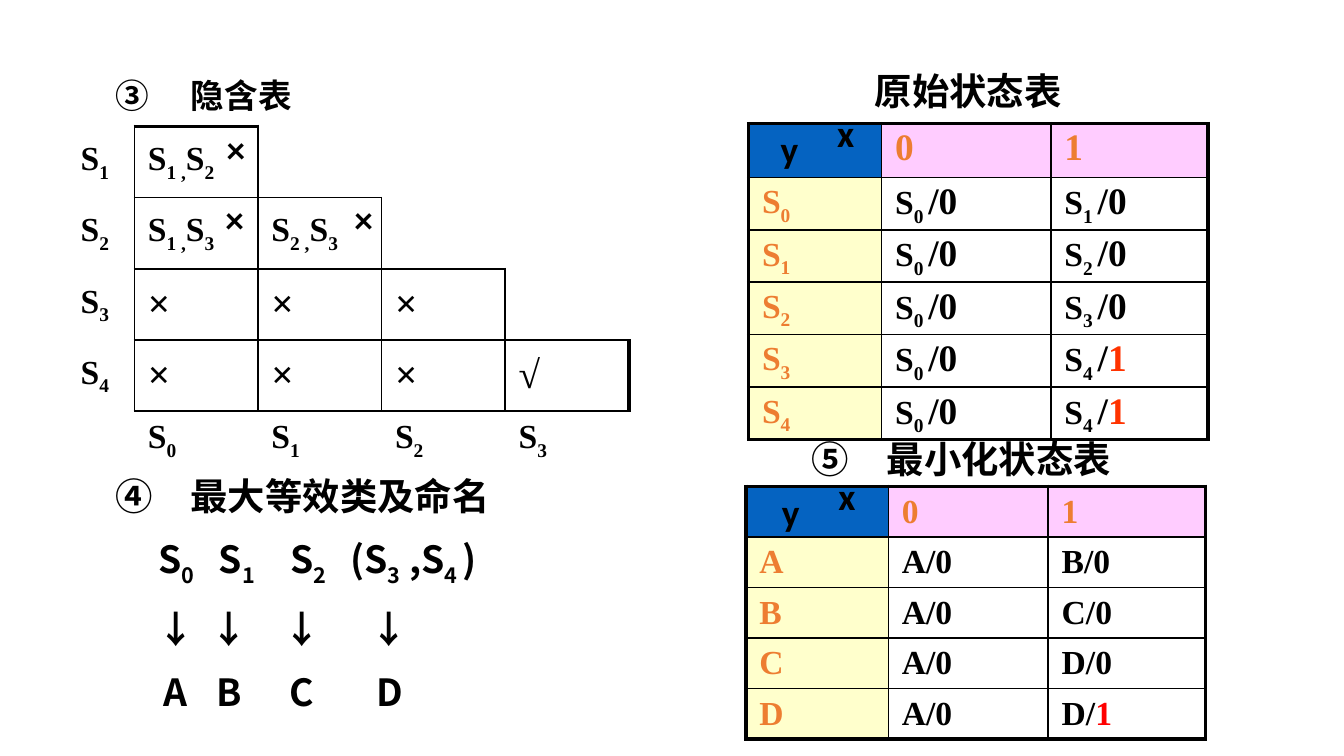
from lxml import etree
from pptx import Presentation
from pptx.dml.color import RGBColor
from pptx.enum.text import MSO_ANCHOR, MSO_AUTO_SIZE, PP_ALIGN
from pptx.oxml.ns import qn
from pptx.util import Inches, Pt

MIDDLE, NO_FIT = MSO_ANCHOR.MIDDLE, MSO_AUTO_SIZE.NONE
LEFT, CENTER = PP_ALIGN.LEFT, PP_ALIGN.CENTER

THEME = {
    "black": "000000", "orange": "ED7D31", "red": "FF0000", "vermilion": "FF3300",
    "blue": "0563C1", "pink": "FFCCFF", "cream": "FFFFCC", "white": "FFFFFF",
    "cjk": "Noto Sans CJK JP", "serif": "Times New Roman", "sans": "Calibri",
    "small": 18, "large": 20, "mark": 21, "thin": 1, "thick": 2.25,
}


def add_runs(p, text, font, size, color="black"):
    """Add bold runs; parts between tildes become subscripts."""
    for i, part in enumerate(text.split("~")):
        if not part:
            continue
        r = p.add_run()
        r.text = part
        r.font.name, r.font.size, r.font.bold = THEME[font], Pt(THEME[size]), True
        r.font.color.rgb = RGBColor.from_string(THEME[color])
        rPr = r.font._element
        etree.SubElement(rPr, qn("a:ea"), typeface=THEME[font])
        if i % 2:
            rPr.set("baseline", "-25000")


def number_paragraph(p, start):
    """Give a paragraph a circled number with a hanging indent."""
    pPr = p._p.get_or_add_pPr()
    pPr.set("marL", str(Inches(0.56)))
    pPr.set("indent", str(-Inches(0.56)))
    etree.SubElement(pPr, qn("a:buAutoNum"), type="circleNumDbPlain", startAt=str(start))


# Widescreen slide, 16 to 9
prs = Presentation()
prs.slide_width = Inches(10)
prs.slide_height = Inches(10) * 9 // 16
s = prs.slides.add_slide(prs.slide_layouts[5])

# Title
title = s.shapes.title
title.left, title.top, title.width, title.height = map(Inches, (0.76, 0.54, 3.25, 0.38))
tf = title.text_frame
tf.auto_size, tf.vertical_anchor = NO_FIT, MIDDLE
p = tf.paragraphs[0]
number_paragraph(p, 3)
p.alignment, p.line_spacing = LEFT, 0.9
add_runs(p, "隐含表", "cjk", "small")

# Table contents: the implication staircase and two state tables
implication = [
    ["S~1~", "S~1 ,~S~2~", "", "", ""],
    ["S~2~", "S~1 ,~S~3~", "S~2 ,~S~3~", "", ""],
    ["S~3~", "×", "×", "×", ""],
    ["S~4~", "×", "×", "×", "√"],
    [""] + [f"S~{i}~" for i in range(4)],
]
original = [["", "0", "1"]] + [
    [f"S~{i}~", "S~0 ~/0", f"S~{min(i + 1, 4)} ~/{int(i > 2)}"] for i in range(5)
]
minimal = [["", "0", "1"]] + [
    [name, "A/0", f"{after}/{int(name == 'D')}"] for name, after in zip("ABCD", "BCDD")
]
tables = [
    dict(rows=minimal, at=(5.55, 3.62), cols=(1.06, 1.19, 1.17), heights=[1.88 / 5] * 5,
         output="small", spacing=1.0, one="red", stairs=False),
    dict(rows=implication, at=(0.5, 0.94), cols=(0.5, 0.92, 0.92, 0.92, 0.92),
         heights=[0.53] * 4 + [0.43], output="small", spacing=1.0, one="black", stairs=True),
    dict(rows=original, at=(5.57, 0.92), cols=(0.99, 1.26, 1.17), heights=[0.4] + [0.39] * 5,
         output="large", spacing=0.8, one="vermilion", stairs=False),
]

# Tables
for t in tables:
    rows, stairs = t["rows"], t["stairs"]
    n_rows, n_cols = len(rows), len(rows[0])
    x, y = t["at"]
    table = s.shapes.add_table(n_rows, n_cols, Inches(x), Inches(y), Inches(sum(t["cols"])),
                               Inches(sum(t["heights"]))).table
    table.first_row = table.horz_banding = False
    for column, width in zip(table.columns, t["cols"]):
        column.width = Inches(width)
    for row, height in zip(table.rows, t["heights"]):
        row.height = Inches(height)

    # Cells that belong to the ruled grid
    grid = {(r, c) for r in range(n_rows) for c in range(n_cols)
            if not stairs or (r < n_rows - 1 and 1 <= c <= r + 1)}
    for r, row in enumerate(rows):
        for c, text in enumerate(row):
            cell = table.cell(r, c)
            cell.vertical_anchor = MIDDLE
            cell.margin_left = cell.margin_right = Inches(0.1)
            cell.margin_top = cell.margin_bottom = Inches(0.03)

            # Borders: thick on the table's rim, thin inside, none off the grid
            tcPr = cell._tc.get_or_add_tcPr()
            neighbours = {"lnL": (r, c - 1), "lnR": (r, c + 1),
                          "lnT": (r - 1, c), "lnB": (r + 1, c)}
            for tag, (nr, nc) in neighbours.items():
                rim = not (0 <= nr < n_rows and 0 <= nc < n_cols)
                line_width = Pt(THEME["thick" if rim else "thin"])
                ln = etree.SubElement(tcPr, qn(f"a:{tag}"), w=str(line_width))
                if (r, c) in grid or (nr, nc) in grid:
                    fill = etree.SubElement(ln, qn("a:solidFill"))
                    etree.SubElement(fill, qn("a:srgbClr"), val=THEME["black"])
                else:
                    etree.SubElement(ln, qn("a:noFill"))

            # Fill
            if (r, c) not in grid:
                cell.fill.background()
            else:
                shade = "white"
                if not stairs and r == 0:
                    shade = "pink" if c else "blue"
                elif not stairs and c == 0:
                    shade = "cream"
                cell.fill.solid()
                cell.fill.fore_color.rgb = RGBColor.from_string(THEME[shade])

            # Text: a state, then an optional output after the slash
            p = cell.text_frame.paragraphs[0]
            p.line_spacing = t["spacing"]
            header = not stairs and (r == 0 or c == 0)
            size = "mark" if text in ("×", "√") else t["output"] if r == 0 else "small"
            state, slash, output = text.partition("/")
            add_runs(p, state, "serif", size, "orange" if header else "black")
            add_runs(p, slash, "serif", t["output"])
            add_runs(p, output, "serif", t["output"], t["one"] if output == "1" else "black")
    if stairs:
        for r in range(2):
            table.cell(r, r + 2).merge(table.cell(r, n_cols - 1))

# Headings, axis letters and crosses: text, place, font, alignment, number, indent
labels = [
    ("最小化状态表", (5.94, 3.2, 3.58, 0.43), "cjk", LEFT, 5, 0),
    ("原始状态表", (6.1, 0.46, 3.58, 0.43), "cjk", LEFT, None, 0.31),
    ("最大等效类及命名", (0.76, 3.47, 4.14, 1.95), "cjk", LEFT, 4, 0),
]
for x, y in ((6.13, 0.77), (6.14, 3.47)):
    labels.append(("x", (x, y, 0.67, 0.44), "sans", LEFT, None, 0))
    labels.append(("y", (x - 0.42, y + 0.12, 0.67, 0.44), "sans", LEFT, None, 0))
for x, y in ((2.33, 1.41), (1.37, 1.41), (1.38, 0.89)):
    labels.append(("×", (x, y, 0.75, 0.44), "sans", CENTER, None, 0))

frames = {}
for text, place, font, align, number, indent in labels:
    tf = s.shapes.add_textbox(*map(Inches, place)).text_frame
    tf.word_wrap = True
    p = tf.paragraphs[0]
    if number:
        number_paragraph(p, number)
    elif indent:
        p._p.get_or_add_pPr().set("marL", str(Inches(indent)))
    p.alignment = align
    add_runs(p, text, font, "large")
    frames[text] = tf

# Equivalence classes and their new names, lined up on tab stops
centers = (0.45, 0.85, 1.39, 2.04)
class_rows = [
    (("S~0~", "S~1~", "S~2~", "(S~3~ ,S~4 ~)"), "l", (0.32, 0.77, 1.3, 1.75)),
    ("↓↓↓↓", "ctr", centers),
    ("ABCD", "ctr", centers),
]
for items, align, stops in class_rows:
    p = frames["最大等效类及命名"].add_paragraph()
    tabs = etree.SubElement(p._p.get_or_add_pPr(), qn("a:tabLst"))
    for stop in stops:
        etree.SubElement(tabs, qn("a:tab"), pos=str(Inches(stop)), algn=align)
    p.space_before = Pt(10)
    for item in items:
        add_runs(p, "\t" + item, "cjk", "large")

prs.save("out.pptx")
